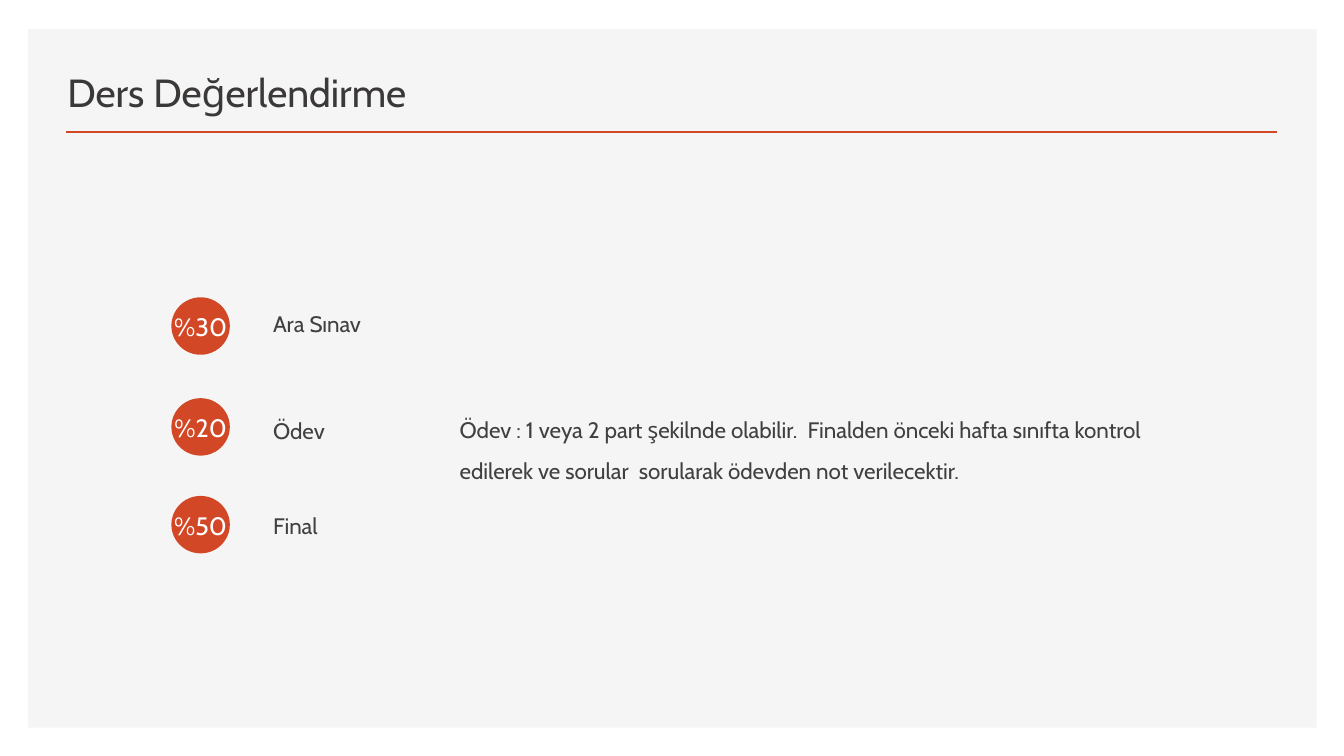
from dataclasses import dataclass

from lxml.etree import SubElement
from pptx import Presentation
from pptx.dml.color import RGBColor
from pptx.enum.shapes import MSO_CONNECTOR as Connector, MSO_SHAPE as Shape
from pptx.enum.text import MSO_ANCHOR as Anchor, PP_ALIGN as Align
from pptx.oxml.ns import qn
from pptx.util import Inches, Pt

WIDTH, HEIGHT = Inches(13.33), Inches(7.5)


@dataclass(frozen=True)
class Theme:
    font: str = "Cabin"
    panel: str = "F5F5F5"
    accent: str = "D24726"
    heading: str = "3B3838"
    body: str = "404040"
    light: str = "FFFFFF"
    title_size: int = 28
    badge_size: int = 18
    body_size: int = 16


THEME = Theme()

# Share, name, badge top and label top, in percent of the slide height
ASSESSMENTS = [
    ("%30", "Ara Sınav", 39.33, 40.53),
    ("%20", "Ödev", 52.67, 54.8),
    ("%50", "Final", 65.6, 67.33),
]
HOMEWORK_NOTE = (
    "Ödev : 1 veya 2 part şekilnde olabilir.  Finalden önceki hafta sınıfta "
    "kontrol edilerek ve sorular  sorularak ödevden not verilecektir."
)


def across(percent):
    return round(WIDTH * percent / 100)


def down(percent):
    return round(HEIGHT * percent / 100)


def area(left, top, width, height):
    return across(left), down(top), across(width), down(height)


def add_filled(shapes, kind, box, color):
    shape = shapes.add_shape(kind, *area(*box))
    shape.shadow.inherit = False
    shape.fill.solid()
    shape.fill.fore_color.rgb = RGBColor.from_string(color)
    shape.line.fill.background()


def add_rule(shapes, left, right, top):
    rule = shapes.add_connector(
        Connector.STRAIGHT, across(left), down(top), across(right), down(top))
    rule.line.color.rgb = RGBColor.from_string(THEME.accent)
    rule.line.width = Pt(2)
    SubElement(rule._element.spPr, qn("a:effectLst"))


def add_text(shapes, text, box, size, color, align=Align.LEFT,
             anchor=Anchor.TOP, wrap=True, spacing=None, before=0, after=0):
    frame = shapes.add_textbox(*area(*box)).text_frame
    frame.word_wrap = wrap
    frame.vertical_anchor = anchor
    paragraph = frame.paragraphs[0]
    paragraph.alignment = align
    paragraph.line_spacing = spacing
    paragraph.space_before, paragraph.space_after = Pt(before), Pt(after)
    run = paragraph.add_run()
    run.text = text
    run.font.name = THEME.font
    run.font.size = Pt(size)
    run.font.color.rgb = RGBColor.from_string(color)


def add_badge(shapes, share, top):
    badge = shapes.add_group_shape().shapes
    add_filled(badge, Shape.OVAL, (12.75, top, 4.35, 7.6), THEME.accent)
    add_text(badge, share, (12.15, top + 1.2, 5.55, 5.33), THEME.badge_size,
             THEME.light, align=Align.CENTER, wrap=False)


def main():
    presentation = Presentation()
    presentation.slide_width, presentation.slide_height = WIDTH, HEIGHT
    slide = presentation.slides.add_slide(presentation.slide_layouts[6])
    shapes = slide.shapes

    # Panel, title and rule
    add_filled(shapes, Shape.RECTANGLE, (2.1, 3.87, 95.87, 92.4), THEME.panel)
    add_rule(shapes, 4.95, 95.05, 17.47)
    add_text(shapes, "Ders Değerlendirme", (4.28, 6.53, 56.4, 9.33),
             THEME.title_size, THEME.heading, anchor=Anchor.BOTTOM)

    # Homework note
    add_text(shapes, HOMEWORK_NOTE, (33.46, 52.67, 53.1, 21.33),
             THEME.body_size, THEME.body, spacing=1.5, before=10, after=20)

    # Assessment shares with their labels
    for share, name, badge_top, label_top in ASSESSMENTS:
        add_badge(shapes, share, badge_top)
        add_text(shapes, name, (19.58, label_top, 35.56, 8.67),
                 THEME.body_size, THEME.body, spacing=Pt(18), before=10, after=6)

    presentation.save("out.pptx")


if __name__ == "__main__":
    main()
